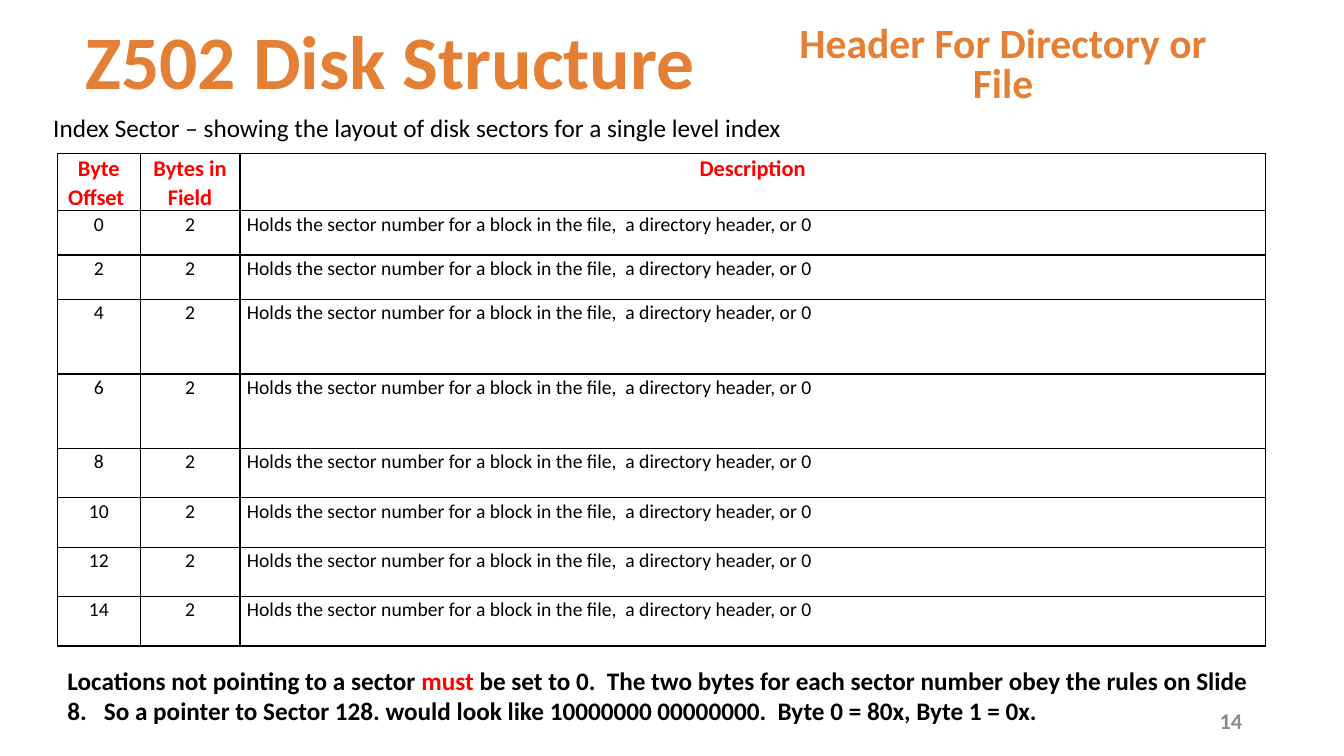
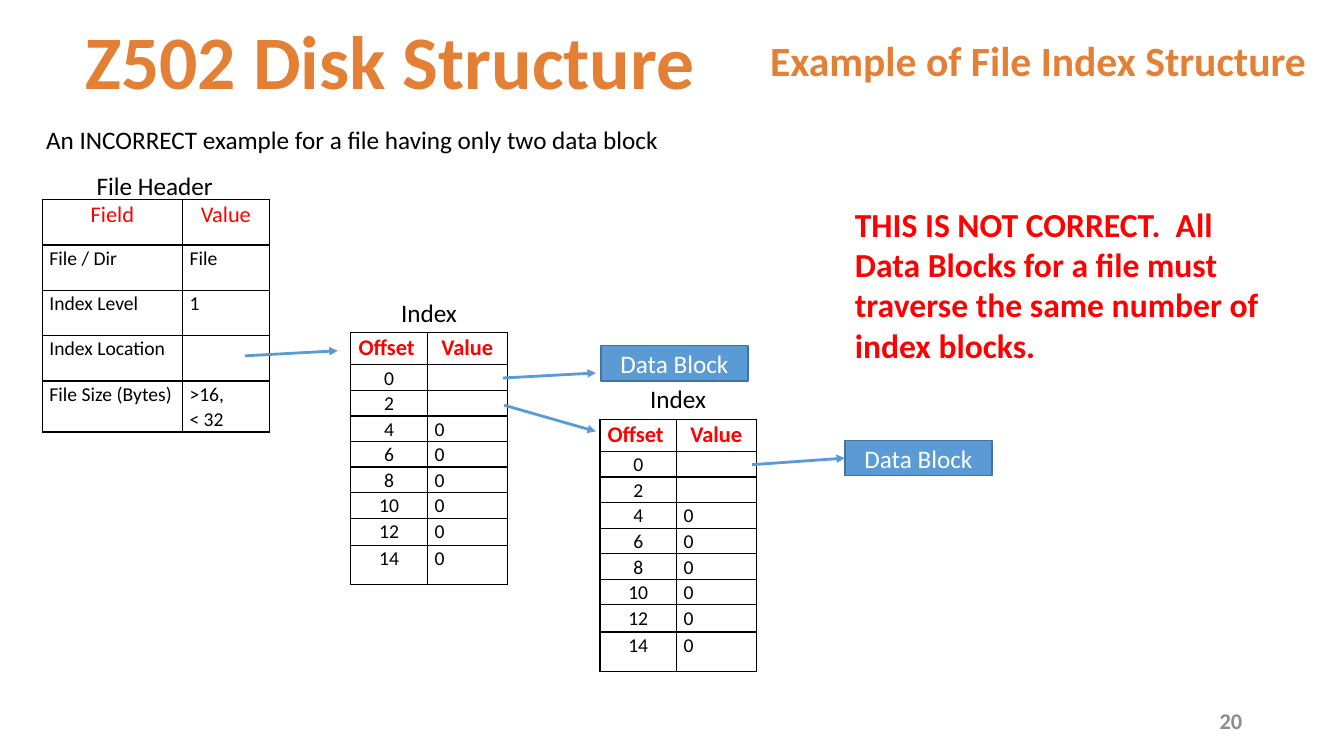
from dataclasses import dataclass

from lxml import etree
from pptx import Presentation
from pptx.dml.color import RGBColor
from pptx.enum.shapes import MSO_CONNECTOR, MSO_SHAPE
from pptx.enum.text import MSO_ANCHOR, MSO_AUTO_SIZE, PP_ALIGN
from pptx.oxml.ns import qn
from pptx.util import Inches, Pt

COLORS = {
    "title": "E38035",
    "text": "000000",
    "alert": "FF0000",
    "number": "8C8C8C",
    "block": "5B9BD5",
    "block_edge": "43739E",
    "white": "FFFFFF",
}
FONT = "Calibri"
LEFT, CENTER, RIGHT = PP_ALIGN.LEFT, PP_ALIGN.CENTER, PP_ALIGN.RIGHT
TOP, MIDDLE, BOTTOM = MSO_ANCHOR.TOP, MSO_ANCHOR.MIDDLE, MSO_ANCHOR.BOTTOM
NO_FIT, GROW = MSO_AUTO_SIZE.NONE, MSO_AUTO_SIZE.SHAPE_TO_FIT_TEXT
STRAIGHT, RECT = MSO_CONNECTOR.STRAIGHT, MSO_SHAPE.RECTANGLE
LEFT_SIDE = 1


@dataclass
class Box:
    left: float
    top: float
    width: float
    height: float

    def emu(self):
        return [Inches(v) for v in (self.left, self.top, self.width, self.height)]


@dataclass
class Style:
    size: float
    color: str = "text"
    bold: bool = False
    align: PP_ALIGN = LEFT
    spacing: float = 1.0


@dataclass
class Grid:
    left: float
    top: float
    widths: list[float]
    heights: list[float]
    rows: list[list[str]]
    aligns: list[PP_ALIGN]
    bold_head: bool = True


@dataclass
class Label:
    text: str
    box: Box
    style: Style
    wrap: bool = True


@dataclass
class Arrow:
    x1: float
    y1: float
    x2: float
    y2: float


BODY = Style(18)
TITLE = Style(54, "title", True, CENTER, 0.9)
TOPIC = Style(29.7, "title", True, CENTER, 0.8)
NUMBER = Style(16, "number", True, RIGHT)
BLOCK = Style(18, "white", align=CENTER)
TITLE_BOX = Box(0.57, 0.18, 6.6, 0.92)
NUMBER_BOX = Box(9.42, 6.95, 3, 0.4)

OFFSETS = [str(n) for n in range(0, 16, 2)]
SECTOR_TEXT = "Holds the sector number for a block in the file,  a directory header, or 0"
SECTOR_GRID = Grid(
    0.57, 1.52, [0.82, 0.99, 10.17], [0.56] + [0.44] * 2 + [0.74] * 2 + [0.49] * 4,
    [["Byte Offset ", "Bytes in Field", "Description"]]
    + [[offset, "2", SECTOR_TEXT] for offset in OFFSETS],
    [CENTER, CENTER, LEFT],
)
HEADER_GRID = Grid(
    0.42, 1.98, [1.39, 0.86], [0.45] * 5,
    [["Field", "Value"], ["File / Dir", "File"], ["Index Level", "1"],
     ["Index Location", ""], ["File Size (Bytes)", ">16,\n< 32"]],
    [LEFT, LEFT], bold_head=False,
)
NOTE = [
    ("Locations not pointing to a sector ", "text"),
    ("must", "alert"),
    (" be set to 0.  The two bytes for each sector number obey the rules on Slide 8.   "
     "So a pointer to Sector 128. would look like 10000000 00000000.  "
     "Byte 0 = 80x, Byte 1 = 0x.", "text"),
]
WARNING = ("THIS IS NOT CORRECT.  All Data Blocks for a file must "
           "traverse the same number of index blocks.")
LABELS = [
    Label("An INCORRECT example for a file having only two data block",
          Box(0.36, 1.18, 12.66, 0.4), BODY),
    Label("File Header", Box(0.86, 1.64, 1.37, 0.4), BODY, False),
    Label("Index", Box(3.88, 2.9, 0.76, 0.4), BODY, False),
    Label("Index", Box(6.35, 3.75, 0.76, 0.4), BODY, False),
    Label(WARNING, Box(8.38, 1.97, 4.31, 1.72), Style(24, "alert", True)),
]
ARROWS = [
    Arrow(2.43, 3.53, 3.35, 3.48),
    Arrow(4.99, 3.75, 5.91, 3.7),
    Arrow(5, 4.02, 5.91, 4.28),
]


def rgb(name: str) -> RGBColor:
    return RGBColor.from_string(COLORS[name])


def style_paragraphs(tf, style: Style) -> None:
    for p in tf.paragraphs:
        p.alignment = style.align
        p.line_spacing = style.spacing
        p.space_before = Pt(0)
        p.font.name = FONT
        p.font.size = Pt(style.size)
        p.font.bold = style.bold
        p.font.color.rgb = rgb(style.color)


def fill_text(tf, text: str, style: Style, anchor=TOP, fit=NO_FIT, wrap=True) -> None:
    tf.text = text
    tf.word_wrap = wrap
    tf.auto_size = fit
    tf.vertical_anchor = anchor
    style_paragraphs(tf, style)


def add_label(slide, label: Label) -> None:
    sp = slide.shapes.add_textbox(*label.box.emu())
    fill_text(sp.text_frame, label.text, label.style, fit=GROW, wrap=label.wrap)


def add_page(prs, topic: str, topic_box: Box, number: int):
    slide = prs.slides.add_slide(prs.slide_layouts[0])
    texts = [("Z502 Disk Structure", TITLE_BOX, TITLE), (topic, topic_box, TOPIC)]
    for sp, (text, box, style) in zip(slide.placeholders, texts):
        sp.left, sp.top, sp.width, sp.height = box.emu()
        fill_text(sp.text_frame, text, style, BOTTOM)
    sp = slide.shapes.add_textbox(*NUMBER_BOX.emu())
    fill_text(sp.text_frame, str(number), NUMBER, MIDDLE)
    return slide


def add_borders(cell) -> None:
    props = cell._tc.get_or_add_tcPr()
    for side in ("lnL", "lnR", "lnT", "lnB"):
        ln = etree.SubElement(props, qn(f"a:{side}"), w=str(int(Pt(1))))
        fill = etree.SubElement(ln, qn("a:solidFill"))
        etree.SubElement(fill, qn("a:srgbClr"), val=COLORS["text"])


def add_grid(slide, grid: Grid) -> None:
    box = Box(grid.left, grid.top, sum(grid.widths), sum(grid.heights))
    table = slide.shapes.add_table(len(grid.rows), len(grid.widths), *box.emu()).table
    table.first_row = table.horz_banding = False
    for column, width in zip(table.columns, grid.widths):
        column.width = Inches(width)
    for r, (texts, height) in enumerate(zip(grid.rows, grid.heights)):
        table.rows[r].height = Inches(height)
        for c, (text, align) in enumerate(zip(texts, grid.aligns)):
            cell = table.cell(r, c)
            cell.margin_left = cell.margin_right = Inches(0.07)
            cell.margin_top = cell.margin_bottom = 0
            add_borders(cell)
            cell.fill.solid()
            cell.fill.fore_color.rgb = rgb("white")
            head = Style(16, "alert", grid.bold_head, CENTER, 1.07)
            style = head if r == 0 else Style(14, align=align, spacing=1.07)
            cell.text = text
            style_paragraphs(cell.text_frame, style)
            if not text:
                end = cell.text_frame.paragraphs[0]._p.get_or_add_endParaRPr()
                end.set("sz", str(style.size * 100))


def add_index(slide, left: float, top: float) -> None:
    rows = [[offset, "" if i < 2 else "0"] for i, offset in enumerate(OFFSETS)]
    add_grid(slide, Grid(left, top, [0.76, 0.79], [0.32] + [0.25] * 6 + [0.27, 0.39],
                         [["Offset ", "Value"]] + rows, [CENTER, LEFT]))


def add_block(slide, left: float, top: float):
    sp = slide.shapes.add_shape(RECT, *Box(left, top, 1.46, 0.35).emu())
    sp.shadow.inherit = False
    sp.fill.solid()
    sp.fill.fore_color.rgb = rgb("block")
    sp.line.color.rgb = rgb("block_edge")
    sp.line.width = Pt(1)
    fill_text(sp.text_frame, "Data Block", BLOCK, MIDDLE)
    return sp


def add_arrow(slide, arrow: Arrow):
    ends = [Inches(v) for v in (arrow.x1, arrow.y1, arrow.x2, arrow.y2)]
    line = slide.shapes.add_connector(STRAIGHT, *ends)
    line.line.color.rgb = rgb("block")
    line.line.width = Pt(2)
    etree.SubElement(line.line._get_or_add_ln(), qn("a:tailEnd"), type="triangle")
    etree.SubElement(line._element.spPr, qn("a:effectLst"))
    return line


def build_sector_slide(prs) -> None:
    slide = add_page(prs, "Header For Directory or File", Box(7.53, 0.29, 4.84, 0.82), 14)
    add_label(slide, Label(
        "Index Sector – showing the layout of disk sectors for a single level index",
        Box(0.43, 1.07, 12.66, 0.4), BODY))
    add_grid(slide, SECTOR_GRID)
    sp = slide.shapes.add_textbox(*Box(0.57, 6.55, 12.12, 0.71).emu())
    fill_text(sp.text_frame, "", Style(18, bold=True), fit=GROW)
    p = sp.text_frame.paragraphs[0]
    for text, color in NOTE:
        r = p.add_run()
        r.text = text
        r.font.color.rgb = rgb(color)


def build_example_slide(prs) -> None:
    slide = add_page(prs, "Example of File Index Structure", Box(7.53, 0.07, 5.54, 0.82), 20)
    add_index(slide, 3.48, 3.3)
    add_grid(slide, HEADER_GRID)
    add_index(slide, 5.95, 4.16)
    add_block(slide, 5.96, 3.43)
    last_block = add_block(slide, 8.38, 4.37)
    for label in LABELS:
        add_label(slide, label)
    for arrow in ARROWS:
        add_arrow(slide, arrow)
    add_arrow(slide, Arrow(7.46, 4.61, 8.38, 4.55)).end_connect(last_block, LEFT_SIDE)


def main() -> None:
    prs = Presentation()
    prs.slide_width, prs.slide_height = Inches(13.33), Inches(7.5)
    build_sector_slide(prs)
    build_example_slide(prs)
    prs.save("out.pptx")


if __name__ == "__main__":
    main()
